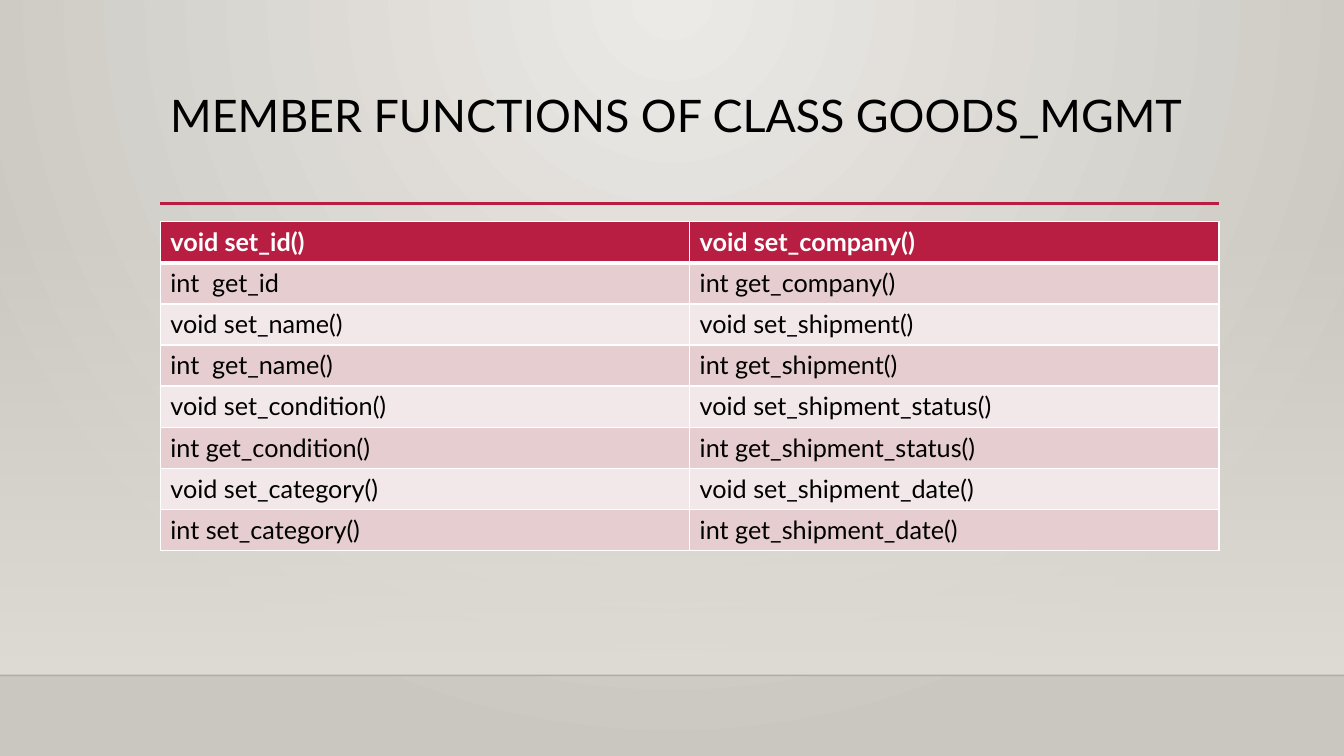
from dataclasses import dataclass

from pptx import Presentation
from pptx.dml.color import RGBColor
from pptx.enum.shapes import MSO_CONNECTOR as Connector, MSO_SHAPE as Shape
from pptx.enum.text import MSO_ANCHOR as Anchor
from pptx.oxml import parse_xml
from pptx.oxml.ns import nsdecls, qn
from pptx.oxml.xmlchemy import OxmlElement
from pptx.util import Inches, Pt


@dataclass(frozen=True)
class Theme:
    font: str = "Lato"
    title_size: int = 32
    cell_size: int = 18
    text: str = "000000"
    white: str = "FFFFFF"
    accent: str = "B71E42"
    bands: tuple = ("E6CDCF", "F3E8E9")
    wall: tuple = ("ECEAE7", "CAC7C1")
    glow: str = "DFDBD5"
    floor_line: str = "000001"


THEME = Theme()
WIDTH, HEIGHT = 13.33, 7.5
TITLE = "MEMBER FUNCTIONS OF CLASS GOODS_MGMT"
FUNCTIONS = [
    ("void set_id()", "void set_company()"),
    ("int  get_id", "int get_company()"),
    ("void set_name()", "void set_shipment()"),
    ("int  get_name()", "int get_shipment()"),
    ("void set_condition()", "void set_shipment_status()"),
    ("int get_condition()", "int get_shipment_status()"),
    ("void set_category()", "void set_shipment_date()"),
    ("int set_category()", "int get_shipment_date()"),
]


def rgb(color):
    return RGBColor.from_string(color)


def gradient(start, end, direction, start_alpha=100):
    """Two-stop gradient; direction is the XML for its shape or angle."""
    return parse_xml(
        f'<a:gradFill {nsdecls("a")} rotWithShape="1"><a:gsLst>'
        f'<a:gs pos="0"><a:srgbClr val="{start}">'
        f'<a:alpha val="{start_alpha * 1000}"/></a:srgbClr></a:gs>'
        f'<a:gs pos="100000"><a:srgbClr val="{end}"/></a:gs>'
        f'</a:gsLst>{direction}</a:gradFill>')


def replace_fill(properties, fill):
    old = properties.find(qn("a:solidFill"))
    properties.replace(old, fill)


def set_font(paragraph, size, color, bold=False):
    font = paragraph.font
    font.name, font.size, font.bold = THEME.font, Pt(size), bold
    font.color.rgb = rgb(color)


def add_rule(slide, left, top, width, color, weight, opacity=100):
    rule = slide.shapes.add_connector(
        Connector.STRAIGHT, Inches(left), Inches(top),
        Inches(left + width), Inches(top))
    rule.line.color.rgb = rgb(color)
    rule.line.width = Pt(weight)
    rule._element.spPr.append(OxmlElement("a:effectLst"))
    if opacity < 100:
        alpha = OxmlElement("a:alpha")
        alpha.set("val", str(opacity * 1000))
        next(rule._element.spPr.iter(qn("a:srgbClr"))).append(alpha)


def add_backdrop(slide, left, top, width, height):
    # Wall lit from the top centre
    wall = slide.background.fill
    wall.solid()
    wall.fore_color.rgb = rgb(THEME.wall[1])
    light = ('<a:path path="circle">'
             '<a:fillToRect l="43000" t="0" r="43000" b="100000"/></a:path>')
    replace_fill(slide._element.cSld.bg.bgPr, gradient(*THEME.wall, light))

    # Glow that fades in towards the floor line
    glow = slide.shapes.add_shape(
        Shape.RECTANGLE, Inches(left), Inches(top), Inches(width), Inches(height))
    glow.shadow.inherit = False
    glow.line.fill.background()
    glow.fill.solid()
    glow.fill.fore_color.rgb = rgb(THEME.glow)
    replace_fill(glow._element.spPr, gradient(
        THEME.glow, THEME.glow, '<a:lin ang="5400000" scaled="0"/>', 0))
    add_rule(slide, left, top + height, width, THEME.floor_line, 1, 20)


def add_title(slide, left, top, width, height):
    frame = slide.shapes.add_textbox(
        Inches(left), Inches(top), Inches(width), Inches(height)).text_frame
    frame.word_wrap = True
    frame.vertical_anchor = Anchor.TOP
    heading = frame.paragraphs[0]
    heading.text = TITLE
    heading.line_spacing = 0.9
    set_font(heading, THEME.title_size, THEME.text)
    add_rule(slide, left, top + height - 0.01, width, THEME.accent, 2.5)


def set_borders(cell, top, bottom):
    properties = cell._tc.get_or_add_tcPr()
    weights = {"L": 1, "R": 1, "T": top, "B": bottom}
    for position, (side, weight) in enumerate(weights.items()):
        properties.insert(position, parse_xml(
            f'<a:ln{side} {nsdecls("a")} w="{Pt(weight)}"><a:solidFill>'
            f'<a:srgbClr val="{THEME.white}"/></a:solidFill></a:ln{side}>'))


def add_function_table(slide, left, top, width, height):
    table = slide.shapes.add_table(
        len(FUNCTIONS), len(FUNCTIONS[0]), Inches(left), Inches(top),
        Inches(width), Inches(height)).table
    for row, names in enumerate(FUNCTIONS):
        header = row == 0
        fill = THEME.accent if header else THEME.bands[(row - 1) % 2]
        for column, name in enumerate(names):
            cell = table.cell(row, column)
            cell.text = name
            cell.fill.solid()
            cell.fill.fore_color.rgb = rgb(fill)
            set_font(cell.text_frame.paragraphs[0], THEME.cell_size,
                     THEME.white if header else THEME.text, header)
            set_borders(cell, 3 if row == 1 else 1, 3 if header else 1)


def main():
    deck = Presentation()
    deck.slide_width, deck.slide_height = Inches(WIDTH), Inches(HEIGHT)
    slide = deck.slides.add_slide(deck.slide_layouts[6])
    add_backdrop(slide, 0, 2.21, WIDTH, 4.49)
    add_title(slide, 1.59, 0.88, 10.5, 1.15)
    add_function_table(slide, 1.59, 2.2, 10.5, 3.26)
    deck.save("out.pptx")


if __name__ == "__main__":
    main()
